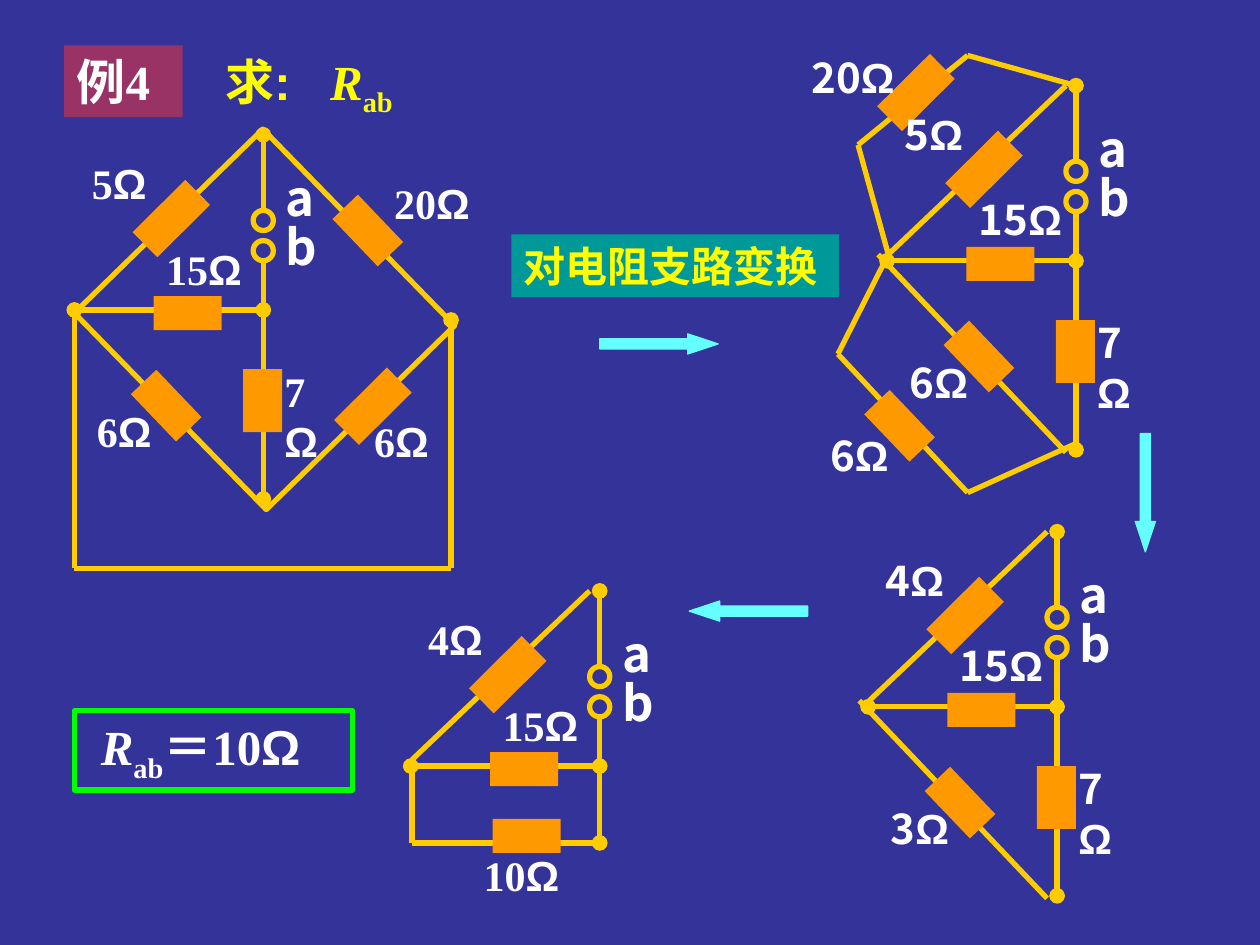
import dataclasses

import pptx
import pptx.dml.color
import pptx.enum.shapes
import pptx.enum.text
import pptx.oxml
import pptx.oxml.ns
import pptx.util
from pptx.util import Inches

SHAPE = pptx.enum.shapes.MSO_SHAPE


@dataclasses.dataclass(frozen=True)
class Theme:
    """Colours, fonts and type sizes of the slide."""
    ground: str = "333399"
    wire: str = "FFCC00"
    resistor: str = "FF9900"
    arrow: str = "66FFFF"
    plum: str = "993366"
    teal: str = "009999"
    green: str = "00FF00"
    white: str = "FFFFFF"
    yellow: str = "FFFF00"
    serif: str = "Times New Roman"
    sans: str = "Arial"
    chinese: str = "Noto Sans CJK SC"
    large: int = 28
    normal: int = 24
    stroke: float = 3


THEME = Theme()


def rgb(value):
    """Turn a hex string into a colour."""
    return pptx.dml.color.RGBColor.from_string(value)


def add_child(parent, tag, **attributes):
    """Append a drawing element with the given attributes."""
    child = pptx.oxml.parse_xml(f"<a:{tag} {pptx.oxml.ns.nsdecls('a')}/>")
    for name, value in attributes.items():
        child.set(name, str(value))
    parent.append(child)
    return child


def add_shape(parent, kind, place, fill=None, line=None, width=THEME.stroke, turn=0):
    """Add a preset shape with flat fill and outline."""
    shape = parent.shapes.add_shape(kind, *map(Inches, place))
    shape.shadow.inherit = False
    shape.rotation = turn
    if fill:
        shape.fill.solid()
        shape.fill.fore_color.rgb = rgb(fill)
    else:
        shape.fill.background()
    if line:
        shape.line.color.rgb = rgb(line)
        shape.line.width = pptx.util.Pt(width)
    else:
        shape.line.fill.background()
    return shape


def add_wire(parent, start, end, head=False, tail=False):
    """Add a wire with optional junction dots at its ends."""
    wire = parent.shapes.add_connector(
        pptx.enum.shapes.MSO_CONNECTOR.STRAIGHT, *map(Inches, (*start, *end)))
    wire.line.color.rgb = rgb(THEME.wire)
    wire.line.width = pptx.util.Pt(THEME.stroke)
    outline = wire.line._get_or_add_ln()
    if head:
        add_child(outline, "headEnd", type="oval")
    if tail:
        add_child(outline, "tailEnd", type="oval")
    add_child(wire._element.spPr, "effectLst")


def write(box, spans, size=THEME.normal, color=THEME.white, inset=0.1, tab=None):
    """Fill a box with one line of (text, font, style) spans."""
    frame = box.text_frame
    frame.word_wrap = True
    frame.auto_size = pptx.enum.text.MSO_AUTO_SIZE.NONE
    frame.vertical_anchor = pptx.enum.text.MSO_ANCHOR.TOP
    frame.margin_left, frame.margin_right = Inches(inset), Inches(0.1)
    frame.margin_top = frame.margin_bottom = Inches(0.05)
    para = frame.paragraphs[0]
    para.alignment = pptx.enum.text.PP_ALIGN.LEFT
    para.space_before = pptx.util.Pt(0)
    if tab:
        stops = add_child(para._p.get_or_add_pPr(), "tabLst")
        add_child(stops, "tab", pos=int(Inches(tab)), algn="l")
    for text, face, style in spans:
        span = para.add_run()
        span.text = text
        span.font.size = pptx.util.Pt(size)
        span.font.bold = True
        span.font.italic = style == "italic"
        span.font.color.rgb = rgb(color)
        span.font.name = face
        properties = span.font._element
        add_child(properties, "ea", typeface=THEME.chinese)
        if style == "subscript":
            properties.set("baseline", "-25000")


def add_label(parent, place, spans, **style):
    """Add a text box holding the given spans."""
    write(parent.shapes.add_textbox(*map(Inches, place)), spans, **style)


def add_ohms(parent, left, top, value, face, width=0.95):
    """Label a resistance."""
    spans = [(value, face, None), ("Ω", THEME.sans, None)]
    add_label(parent, (left, top, width, 0.5), spans)


def add_resistor(parent, left, top, lean="flat"):
    """Add a resistor body lying flat, upright, rising or falling."""
    width, height, turn = {"flat": (0.54, 0.27, 0), "upright": (0.31, 0.5, 0),
                           "rising": (0.28, 0.59, 45.2), "falling": (0.28, 0.52, 316.3)}[lean]
    add_shape(parent, SHAPE.RECTANGLE, (left, top, width, height), THEME.resistor, turn=turn)


def add_bridge(parent, x, y, face, upper, lower=None, diagonals=True):
    """Add the ab port and its branches, hung from the top node at x, y."""
    foot = y + (2.89 if lower else 2)
    if diagonals:
        add_wire(parent, (x - 1.49, y + 1.34), (x - 0.08, y))
    if diagonals and lower:
        add_wire(parent, (x - 1.57, y + 1.34), (x - 0.08, y + 2.91))
    add_wire(parent, (x, y), (x, y + 0.6), head=True)
    add_wire(parent, (x, y + 1), (x, foot), tail=True)
    add_wire(parent, (x - 1.5, y + 1.39), (x, y + 1.39), head=True, tail=True)
    for name, drop in (("a", 0.21), ("b", 0.6)):
        add_label(parent, (x + 0.08, y + drop, 0.39, 0.57),
                  [(name, THEME.chinese, None)], size=THEME.large)
    for drop in (0.6, 0.84):
        add_shape(parent, SHAPE.OVAL, (x - 0.08, y + drop, 0.16, 0.16), line=THEME.wire)
    add_resistor(parent, x - 0.87, y + 0.37, "rising")
    add_resistor(parent, x - 0.87, y + 1.28)
    add_ohms(parent, x - 0.87, y + 0.81, "15", face)
    add_ohms(parent, x - 1.46, y + 0.13, upper, face)
    if lower:
        add_resistor(parent, x - 0.91, y + 1.89, "falling")
        add_resistor(parent, x - 0.16, y + 1.86, "upright")
        add_ohms(parent, x - 1.42, y + 2.1, lower, face)
        add_ohms(parent, x + 0.07, y + 1.78, "7", face, width=0.6)


def add_first_circuit(group):
    """Add the given circuit: a diamond with an outer wire."""
    add_shape(group, SHAPE.RECTANGLE, (1.01, 1.49, 2.18, 2.09), line=THEME.wire, turn=45.7)
    add_wire(group, (0.59, 2.46), (0.59, 4.51))
    add_wire(group, (0.59, 4.51), (3.58, 4.51))
    add_wire(group, (3.58, 2.54), (3.58, 4.51), head=True)
    add_resistor(group, 2.78, 1.57, "falling")
    add_resistor(group, 2.82, 2.93, "rising")
    add_ohms(group, 3.03, 1.36, "20", THEME.serif)
    add_ohms(group, 2.87, 3.25, "6", THEME.serif)
    add_bridge(group, 2.09, 1.07, THEME.serif, "5", "6", diagonals=False)


def add_second_circuit(group):
    """Add the redrawn circuit with its parallel branches."""
    loop = [(8.54, 0.68), (7.68, 0.44), (6.81, 1.15), (7.05, 2.02),
            (6.65, 2.81), (7.68, 3.91), (8.54, 3.52)]
    for start, end in zip(loop, loop[1:]):
        add_wire(group, start, end)
    add_resistor(group, 7.13, 0.44, "rising")
    add_resistor(group, 7, 3.12, "falling")
    add_ohms(group, 6.34, 0.36, "20", THEME.chinese)
    add_ohms(group, 6.49, 3.36, "6", THEME.chinese)
    add_bridge(group, 8.54, 0.68, THEME.chinese, "5", "6")


def add_third_circuit(group):
    """Add the circuit with the parallel branches merged."""
    add_bridge(group, 8.39, 4.22, THEME.chinese, "4", "3")


def add_last_circuit(group):
    """Add the circuit with the series branch merged."""
    add_wire(group, (3.27, 6.03), (3.27, 6.69))
    add_wire(group, (3.27, 6.69), (4.76, 6.69))
    add_bridge(group, 4.76, 4.69, THEME.serif, "4")
    add_resistor(group, 3.91, 6.5)
    add_ohms(group, 3.74, 6.69, "10", THEME.serif)


def main():
    """Build the slide and save it."""
    deck = pptx.Presentation()
    deck.slide_width, deck.slide_height = Inches(10), Inches(7.5)
    page = deck.slides.add_slide(deck.slide_layouts[5])
    page.background.fill.solid()
    page.background.fill.fore_color.rgb = rgb(THEME.ground)

    title = page.shapes.title
    title.left, title.top, title.width, title.height = map(Inches, (1.69, 0.36, 1.65, 0.63))
    result = [("R", THEME.serif, "italic"), ("ab", THEME.serif, "subscript")]
    write(title, [("求:\t", THEME.sans, None), *result],
          size=THEME.large, color=THEME.yellow, tab=0.83)
    badge = add_shape(page, SHAPE.RECTANGLE, (0.51, 0.36, 0.94, 0.57), THEME.plum)
    write(badge, [("例4", THEME.serif, None)], size=THEME.large)

    for add_circuit in (add_first_circuit, add_second_circuit,
                        add_third_circuit, add_last_circuit):
        add_circuit(page.shapes.add_group_shape())
    for left, top, turn in ((4.76, 2.65, 0), (8.62, 3.83, 90), (5.47, 4.77, 180)):
        arrow = add_shape(page, SHAPE.RIGHT_ARROW, (left, top, 0.94, 0.16),
                          THEME.arrow, THEME.arrow, 0.75, turn)
        arrow.adjustments[0], arrow.adjustments[1] = 0.5, 1.51

    answer = add_shape(page, SHAPE.RECTANGLE, (0.59, 5.64, 2.21, 0.63), line=THEME.green)
    write(answer, [*result, ("＝10", THEME.serif, None), ("Ω", THEME.sans, None)],
          size=THEME.large, inset=0.21)
    step = add_shape(page, SHAPE.RECTANGLE, (4.06, 1.86, 2.6, 0.5), THEME.teal)
    write(step, [("对电阻支路变换", THEME.sans, None)], color=THEME.yellow)
    deck.save("out.pptx")


if __name__ == "__main__":
    main()
